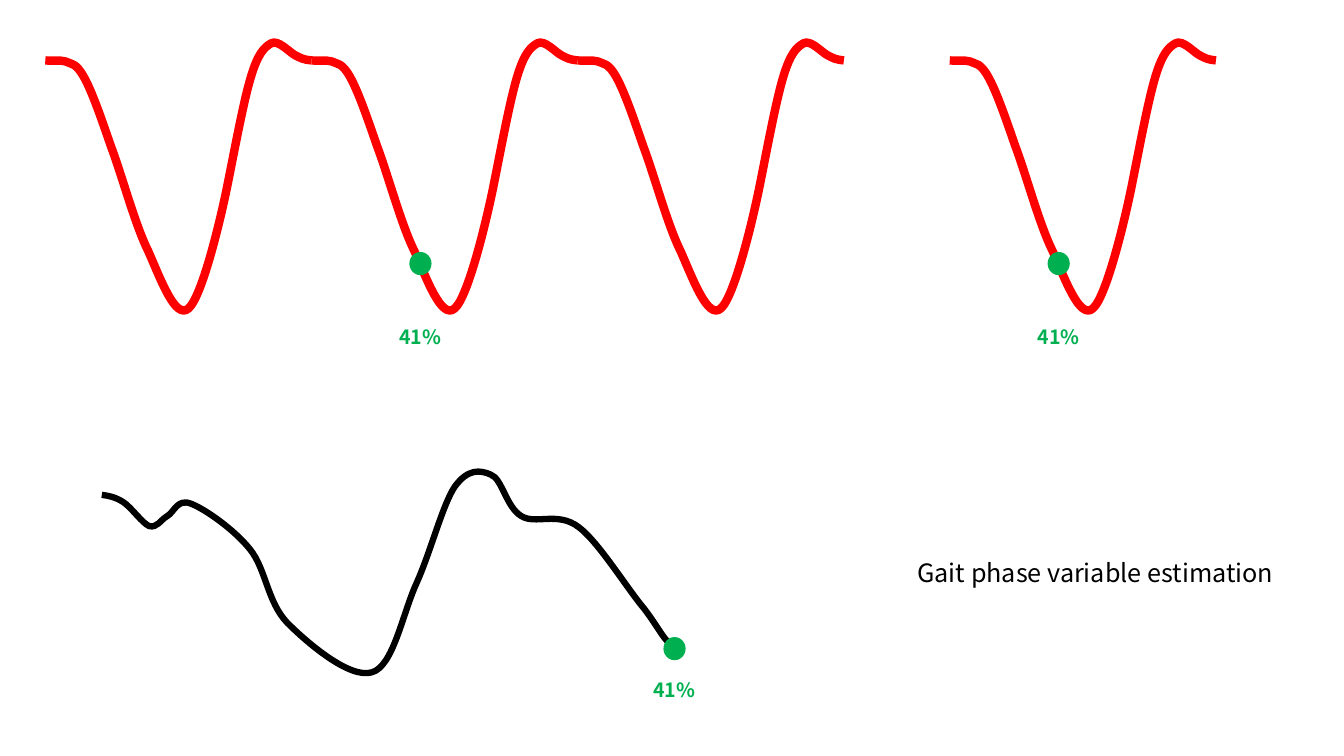
from typing import Any, NamedTuple

import lxml.etree
import pptx
import pptx.dml.color
import pptx.enum.shapes
import pptx.enum.text
import pptx.oxml.ns
import pptx.util

PX = 9144  # EMU per px, 100 px to the inch
FONT = "Noto Sans CJK KR"
RED, GREEN, BLACK = "FF0000", "00B050", "000000"


class Point(NamedTuple):
    x: int
    y: int


class Bezier(NamedTuple):
    """One cubic piece: two control points, then its end."""
    leave: Point
    arrive: Point
    end: Point


class Curve(NamedTuple):
    start: Point
    pieces: list[Bezier]
    color: str
    weight: float


class PhaseMarker(NamedTuple):
    center_x: int
    dot_top: int
    label_top: int


def beziers(*rows: tuple[int, ...]) -> list[Bezier]:
    return [Bezier(Point(*row[:2]), Point(*row[2:4]), Point(*row[4:])) for row in rows]


# Pieces are relative to the start of their curve.
GAIT_CYCLE = beziers(
    (6, 1, 13, -1, 20, 1),
    (26, 4, 30, 2, 38, 16),
    (46, 30, 55, 56, 65, 85),
    (76, 114, 89, 163, 102, 189),
    (114, 216, 129, 258, 142, 246),
    (155, 235, 173, 162, 181, 122),
    (189, 82, 197, 39, 204, 16),
    (211, -7, 217, -13, 224, -17),
    (231, -21, 242, -8, 248, -5),
    (254, -2, 255, -1, 264, 0),
)
MEASURED_GAIT = beziers(
    (7, 1, 13, 2, 21, 7),
    (29, 12, 40, 28, 47, 31),
    (55, 33, 58, 25, 65, 21),
    (72, 17, 75, 3, 89, 9),
    (102, 14, 131, 34, 147, 54),
    (163, 74, 164, 106, 184, 127),
    (204, 147, 246, 183, 268, 176),
    (289, 170, 298, 119, 312, 88),
    (326, 57, 338, 10, 350, -8),
    (363, -26, 375, -25, 386, -20),
    (397, -16, 401, 12, 416, 21),
    (430, 30, 452, 16, 473, 32),
    (493, 47, 521, 93, 538, 113),
    (554, 134, 557, 145, 571, 154),
)
CYCLE_WIDTH = GAIT_CYCLE[-1].end.x
REPEATED_STARTS = [45 + i * CYCLE_WIDTH for i in range(3)]
SINGLE_START = 942

CURVES = [
    *(Curve(Point(x, 60), GAIT_CYCLE, RED, 6) for x in [*REPEATED_STARTS, SINGLE_START]),
    Curve(Point(101, 491), MEASURED_GAIT, BLACK, 4.5),
]
MARKERS = [
    PhaseMarker(669, 632, 668),
    PhaseMarker(1050, 250, 317),
    PhaseMarker(417, 250, 317),
]


def rgb(color: str) -> pptx.dml.color.RGBColor:
    return pptx.dml.color.RGBColor.from_string(color)


def apply(target: Any, formats: dict[str, Any]) -> None:
    for name, value in formats.items():
        setattr(target, name, value)


def place(shape: Any, left: int, top: int, width: int, height: int) -> None:
    apply(shape, {"left": left * PX, "top": top * PX,
                  "width": width * PX, "height": height * PX})


def draw_curve(shapes: Any, curve: Curve) -> None:
    """Join the piece ends, then bend each straight join into a cubic."""
    ends = [piece.end for piece in curve.pieces]
    builder = shapes.build_freeform(0, 0, scale=PX)
    builder.move_to(*curve.start)
    builder = shapes.build_freeform(*curve.start, scale=PX)
    builder.add_line_segments(
        [(curve.start.x + end.x, curve.start.y + end.y) for end in ends], close=False)
    line = builder.convert_to_shape()
    line.shadow.inherit = False
    line.fill.background()
    line.line.color.rgb = rgb(curve.color)
    line.line.width = pptx.util.Pt(curve.weight)

    qn = pptx.oxml.ns.qn
    left = min(0, *(end.x for end in ends))
    top = min(0, *(end.y for end in ends))
    joins = list(line.element.iter(qn("a:lnTo")))
    for join, piece in zip(joins, curve.pieces):
        cubic = lxml.etree.Element(qn("a:cubicBezTo"))
        for point in piece:
            lxml.etree.SubElement(cubic, qn("a:pt"),
                                  x=str(point.x - left), y=str(point.y - top))
        join.getparent().replace(join, cubic)


def write(shape: Any, text: str, size: int, color: str, bold: bool) -> None:
    frame = shape.text_frame
    apply(frame, {"text": text, "word_wrap": True,
                  "auto_size": pptx.enum.text.MSO_AUTO_SIZE.SHAPE_TO_FIT_TEXT})
    paragraph = frame.paragraphs[0]
    paragraph.alignment = pptx.enum.text.PP_ALIGN.CENTER
    font = paragraph.runs[0].font
    apply(font, {"name": FONT, "size": pptx.util.Pt(size), "bold": bold})
    font.color.rgb = rgb(color)


def draw_marker(shapes: Any, marker: PhaseMarker) -> None:
    dot = shapes.add_shape(pptx.enum.shapes.MSO_SHAPE.OVAL, 0, 0, 0, 0)
    place(dot, marker.center_x - 11, marker.dot_top, 22, 23)
    dot.shadow.inherit = False
    dot.fill.solid()
    dot.fill.fore_color.rgb = rgb(GREEN)
    dot.line.fill.background()

    label = shapes.add_textbox(0, 0, 0, 0)
    place(label, marker.center_x - 48, marker.label_top, 96, 34)
    write(label, "41%", 14, GREEN, True)


def main() -> None:
    deck = pptx.Presentation()
    apply(deck, {"slide_width": 1333 * PX, "slide_height": 750 * PX})
    title_only = deck.slide_layouts[5]
    shapes = deck.slides.add_slide(title_only).shapes

    place(shapes.title, 892, 548, 389, 40)
    write(shapes.title, "Gait phase variable estimation", 18, BLACK, False)
    for curve in CURVES:
        draw_curve(shapes, curve)
    for marker in MARKERS:
        draw_marker(shapes, marker)
    deck.save("out.pptx")


if __name__ == "__main__":
    main()
